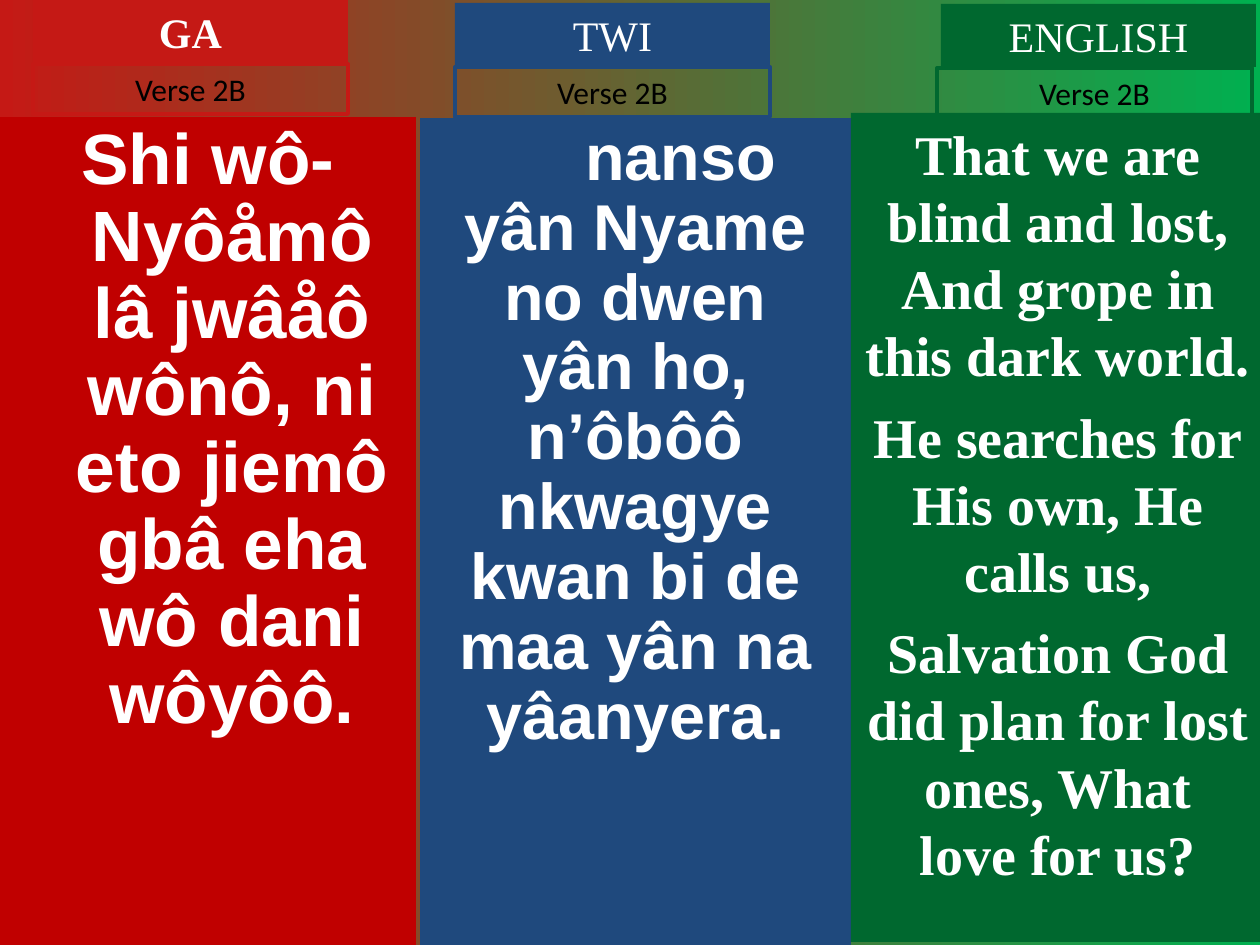
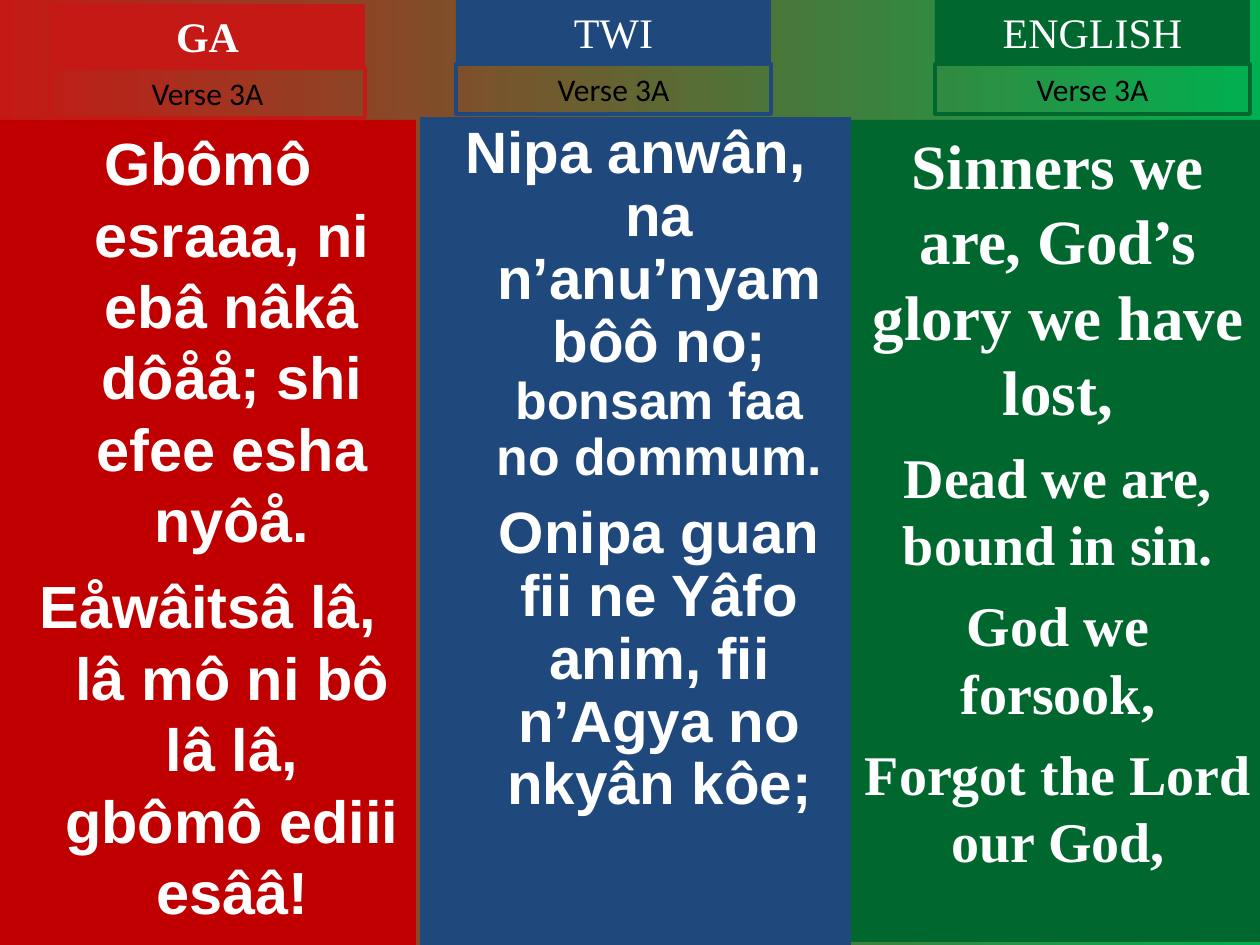
from dataclasses import dataclass

from pptx import Presentation
from pptx.dml.color import RGBColor
from pptx.enum.text import MSO_ANCHOR, MSO_AUTO_SIZE, PP_ALIGN
from pptx.oxml.xmlchemy import OxmlElement
from pptx.util import Emu, Pt

EMU_PER_PX = 914400 / 126
SLIDE_W, SLIDE_H = 1260, 945
HEAD_W, HEAD_H, LABEL_H = 315, 63, 50
HANG = 48
TWO_CONTENT = 3


@dataclass(frozen=True)
class Theme:
    red: str = "C51915"
    deep_red: str = "C00000"
    blue: str = "1F497D"
    green: str = "00682F"
    bright_green: str = "00B050"
    white: str = "FFFFFF"
    black: str = "000000"
    sans: str = "Arial"
    serif: str = "Times New Roman"
    label_font: str = "Calibri"
    head_size: float = 24
    label_size: float = 18
    label_line: float = 2.25


THEME = Theme()


@dataclass(frozen=True)
class Language:
    name: str
    accent: str
    panel: str
    left: int
    width: int
    bottom: int
    font: str
    bold_head: bool = False


@dataclass(frozen=True)
class Para:
    text: str
    size: float
    before: float = 0
    left: int = 0
    first: int = 0
    spacing: float = 1.0
    tail: str = ""
    tail_size: float = 0


@dataclass(frozen=True)
class Column:
    language: Language
    panel_top: int
    head_left: int
    head_top: int
    paras: tuple[Para, ...]
    label_shift: int = 0


@dataclass(frozen=True)
class Verse:
    label: str
    columns: tuple[Column, ...]


GA = Language("GA", THEME.red, THEME.deep_red, 0, 416, 945, THEME.sans, True)
TWI = Language("TWI", THEME.blue, THEME.blue, 420, 431, 945, THEME.sans)
ENGLISH = Language("ENGLISH", THEME.green, THEME.green, 851, 414, 942, THEME.serif)

VERSES = (
    Verse("Verse 2B", (
        Column(GA, 117, 33, 0, (
            Para("Shi wô- Nyôåmô lâ jwâåô wônô, ni eto jiemô gbâ eha wô dani wôyôô.",
                 40.7, left=HANG, first=-HANG, spacing=0.9),
        )),
        Column(TWI, 118, 455, 3, (
            Para("nanso\vyân Nyame no dwen\vyân ho, n’ôbôô nkwagye kwan bi de "
                 "maa yân na yâanyera.", 37, first=90, spacing=0.9),
        )),
        Column(ENGLISH, 113, 941, 4, (
            Para("That we are blind and lost, And grope in this dark world.", 32),
            Para("He searches for His own, He calls us,", 32, before=8),
            Para("Salvation God did plan for lost ones, What\vlove for us?", 32, before=8),
        ), label_shift=-4),
    )),
    Verse("Verse 3A", (
        Column(GA, 120, 50, 4, (
            Para("Gbômô esraaa, ni ebâ nâkâ dôåå; shi efee esha nyôå.",
                 34, left=HANG, first=-HANG),
            Para("Eåwâitsâ lâ, lâ mô ni bô lâ lâ, gbômô ediii esââ!",
                 34, before=8.5, left=HANG, first=-HANG),
        )),
        Column(TWI, 117, 456, 0, (
            Para("Nipa anwân, na n’anu’nyam bôô no; ", 33.3, left=HANG, first=-HANG,
                 spacing=0.9, tail="bonsam faa no dommum.", tail_size=29.6),
            Para("Onipa guan fii ne Yâfo anim, fii n’Agya no nkyân kôe;",
                 33.3, before=9, left=HANG, spacing=0.9),
        )),
        Column(ENGLISH, 120, 935, 0, (
            Para("Sinners we are, God’s glory we have lost,", 36),
            Para("Dead we are, bound in sin.", 32, before=8),
            Para("God we forsook,", 32, before=8),
            Para("Forgot the Lord our God,", 32, before=8),
        )),
    )),
)


def px(value: int) -> Emu:
    return Emu(round(value * EMU_PER_PX))


def rgb(value: str) -> RGBColor:
    return RGBColor.from_string(value)


def place(sp, left: int, top: int, width: int, height: int) -> None:
    sp.left, sp.top, sp.width, sp.height = map(px, (left, top, width, height))


def paint(sp, color: str) -> None:
    sp.fill.solid()
    sp.fill.fore_color.rgb = rgb(color)


def style_run(r, font: str, size: float, color: str, bold: bool) -> None:
    r.font.name = font
    r.font.size = Pt(size)
    r.font.bold = bold
    r.font.color.rgb = rgb(color)


def write(sp, paras: tuple[Para, ...], font: str, color: str, bold: bool) -> None:
    """Fill a shape with centred, unbulleted paragraphs."""
    tf = sp.text_frame
    tf.word_wrap = True
    tf.auto_size = MSO_AUTO_SIZE.NONE
    tf.vertical_anchor = MSO_ANCHOR.TOP
    for i, para in enumerate(paras):
        p = tf.add_paragraph() if i else tf.paragraphs[0]
        p.text = para.text
        p.alignment = PP_ALIGN.CENTER
        p.line_spacing = para.spacing
        p.space_before, p.space_after = Pt(para.before), Pt(0)
        pPr = p._p.get_or_add_pPr()
        pPr.set("marL", str(px(para.left)))
        pPr.set("indent", str(px(para.first)))
        pPr.append(OxmlElement("a:buNone"))
        for r in p.runs:
            style_run(r, font, para.size, color, bold)
        if para.tail:
            r = p.add_run()
            r.text = para.tail
            style_run(r, font, para.tail_size, color, bold)


def new_box(slide):
    return slide.shapes.add_textbox(0, 0, 0, 0)


def draw_panel(sp, column: Column) -> None:
    lang = column.language
    place(sp, lang.left, column.panel_top, lang.width, lang.bottom - column.panel_top)
    paint(sp, lang.panel)
    write(sp, column.paras, lang.font, THEME.white, True)


def draw_head(sp, column: Column) -> None:
    lang = column.language
    place(sp, column.head_left, column.head_top, HEAD_W, HEAD_H)
    paint(sp, lang.accent)
    write(sp, (Para(lang.name, THEME.head_size),), THEME.serif, THEME.white, lang.bold_head)


def draw_label(sp, column: Column, text: str) -> None:
    place(sp, column.head_left + column.label_shift, column.head_top + HEAD_H + 1,
          HEAD_W, LABEL_H)
    sp.line.color.rgb = rgb(column.language.accent)
    sp.line.width = Pt(THEME.label_line)
    write(sp, (Para(text, THEME.label_size),), THEME.label_font, THEME.black, False)


def set_background(prs) -> None:
    fill = prs.slide_master.background.fill
    fill.gradient()
    fill.gradient_angle = 0
    for stop, color, position in zip(fill.gradient_stops,
                                     (THEME.red, THEME.bright_green), (0, 1)):
        stop.color.rgb = rgb(color)
        stop.position = position


def add_verse(prs, verse: Verse) -> None:
    slide = prs.slides.add_slide(prs.slide_layouts[TWO_CONTENT])
    title, *bodies = slide.placeholders
    # The layout holds one title and two bodies; text boxes serve the rest
    panels = [*bodies, new_box(slide)]
    heads = [title, new_box(slide), new_box(slide)]
    for column, panel, head in zip(verse.columns, panels, heads):
        draw_panel(panel, column)
        draw_head(head, column)
        draw_label(new_box(slide), column, verse.label)


def main() -> None:
    prs = Presentation()
    prs.slide_width, prs.slide_height = px(SLIDE_W), px(SLIDE_H)
    set_background(prs)
    for verse in VERSES:
        add_verse(prs, verse)
    prs.save("out.pptx")


if __name__ == "__main__":
    main()
